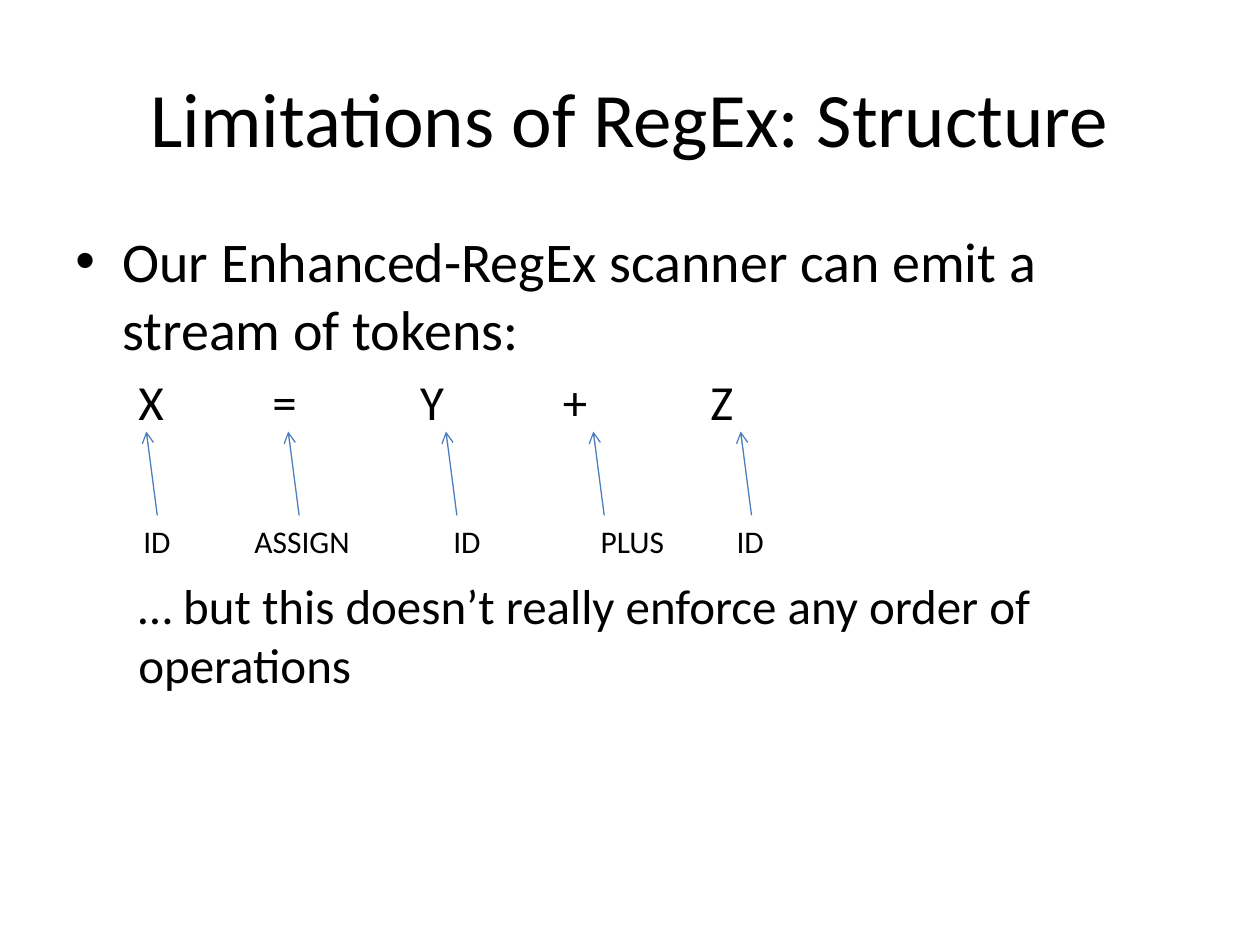
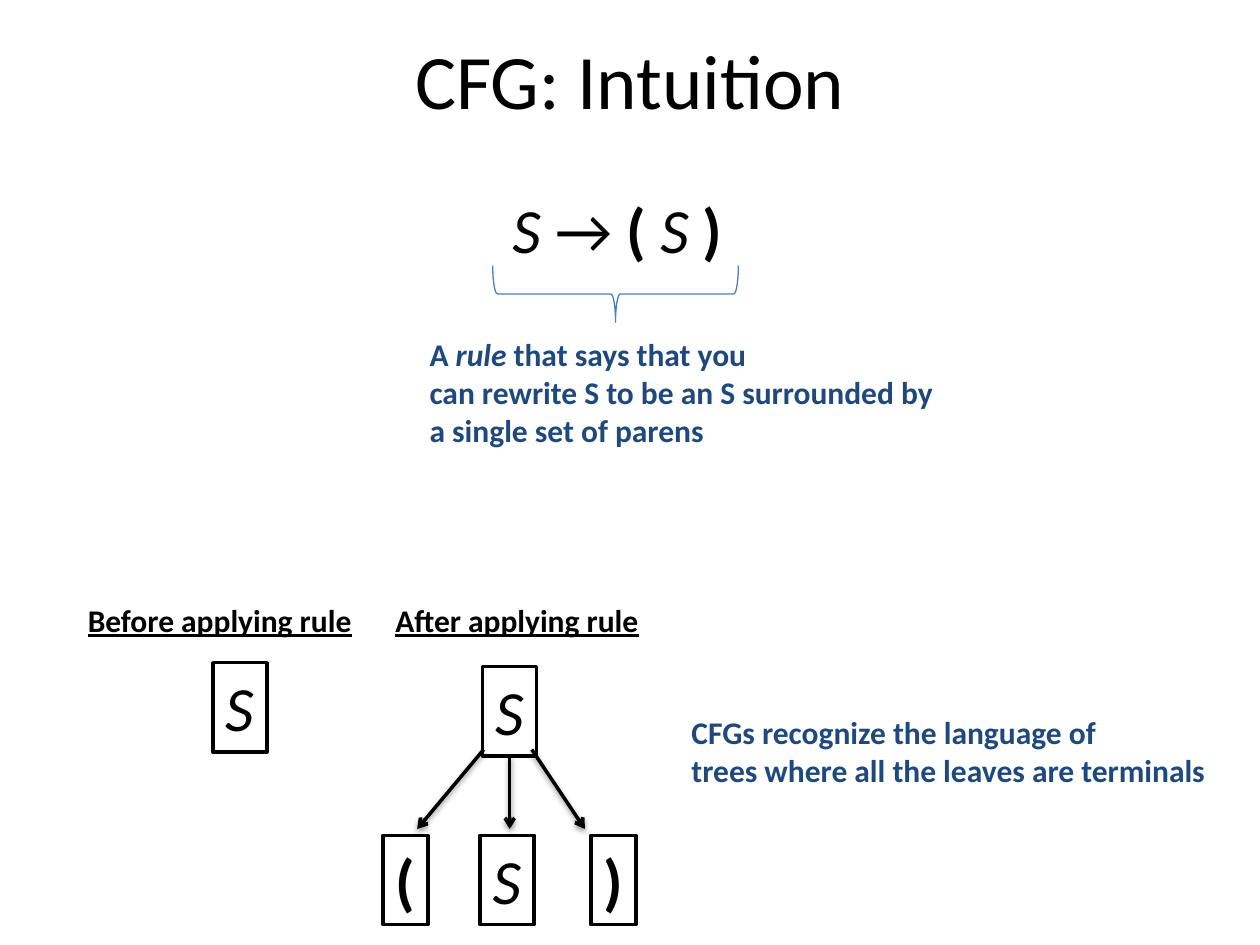
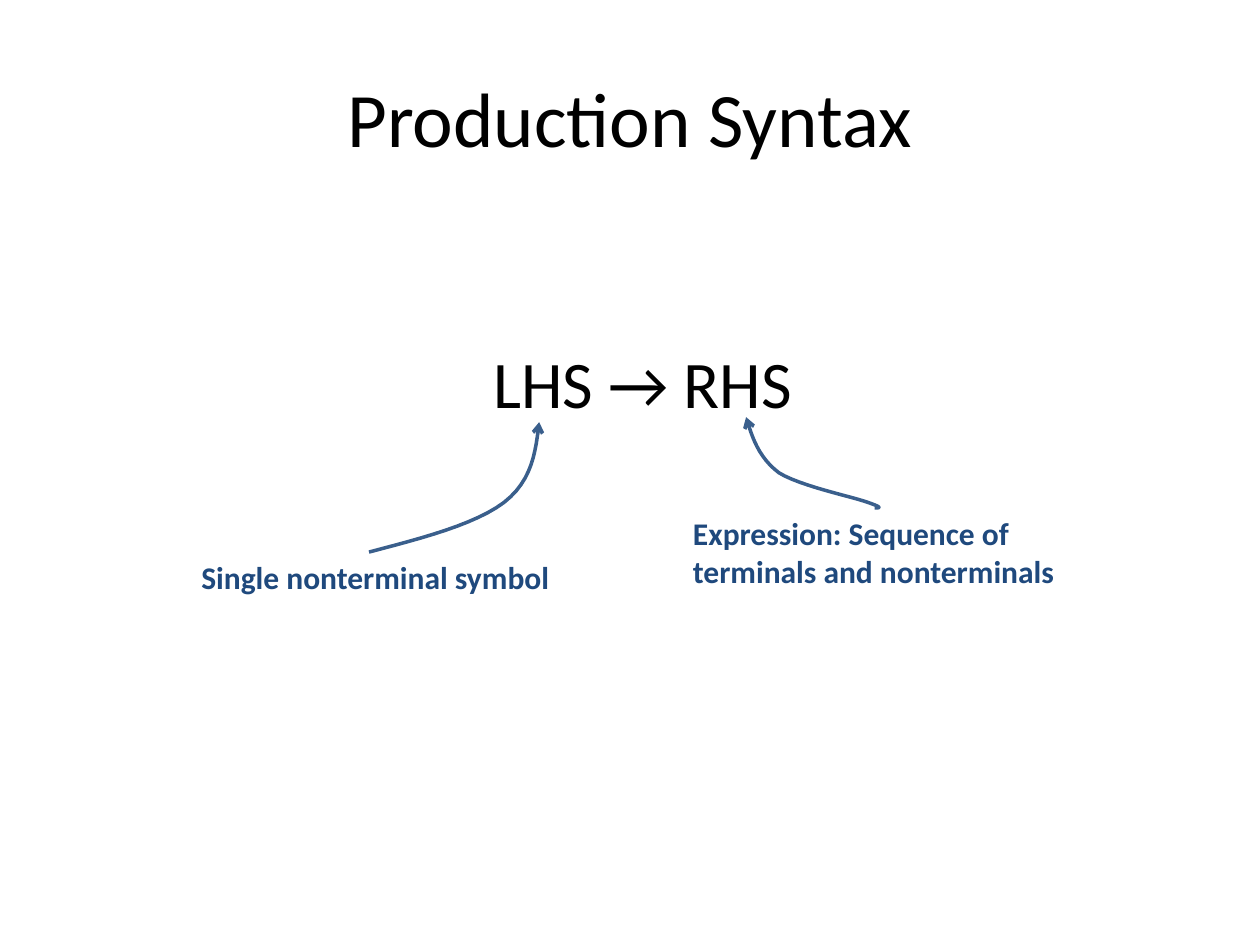
from dataclasses import dataclass

from lxml import etree
from pptx import Presentation
from pptx.dml.color import RGBColor
from pptx.enum.shapes import MSO_CONNECTOR, MSO_SHAPE
from pptx.enum.text import MSO_ANCHOR, MSO_AUTO_SIZE, PP_ALIGN
from pptx.oxml.ns import qn
from pptx.util import Cm, Pt

STRAIGHT = MSO_CONNECTOR.STRAIGHT
RECTANGLE, LEFT_BRACE = MSO_SHAPE.RECTANGLE, MSO_SHAPE.LEFT_BRACE
TOP, MIDDLE = MSO_ANCHOR.TOP, MSO_ANCHOR.MIDDLE
LEFT, CENTER = PP_ALIGN.LEFT, PP_ALIGN.CENTER
FIT_SHAPE, NO_FIT = MSO_AUTO_SIZE.SHAPE_TO_FIT_TEXT, MSO_AUTO_SIZE.NONE
BOTTOM_SIDE = 2


@dataclass(frozen=True)
class Theme:
    font: str = "Calibri"
    black: RGBColor = RGBColor(0x00, 0x00, 0x00)
    white: RGBColor = RGBColor(0xFF, 0xFF, 0xFF)
    navy: RGBColor = RGBColor(0x1F, 0x49, 0x7D)
    blue: RGBColor = RGBColor(0x4B, 0x7E, 0xBC)
    steel: RGBColor = RGBColor(0x3A, 0x5F, 0x8C)
    title: int = 44
    production: int = 38
    symbol: int = 36
    body: int = 32
    detail: int = 28
    label: int = 18
    thin: float = 0.75
    thick: float = 2


THEME = Theme()

STRUCTURE_TITLE = "Limitations of RegEx: Structure"
STRUCTURE_BULLET = "Our Enhanced-RegEx scanner can emit a stream of tokens:"
STRUCTURE_CLOSING = "… but this doesn’t really enforce any order of operations"
TOKENS = [
    # symbol, tab stop, token name, arrow start, name left, name width
    ("X", 1.27, "ID", 3.17, 2.64, 1.07),
    ("=", 3.97, "ASSIGN", 6.03, 4.88, 2.44),
    ("Y", 6.95, "ID", 9.21, 8.89, 1.07),
    ("+", 9.83, "PLUS", 12.18, 11.86, 1.8),
    ("Z", 12.8, "ID", 15.15, 14.6, 1.07),
]

INTUITION_TITLE = "CFG: Intuition"
RULE = [[("S", "i"), (" → ", ""), ("( ", "b"), ("S ", "i"), (")", "b")]]
RULE_MEANING = [
    [("A ", "b"), ("rule", "bi"), (" that says that you", "b")],
    "can rewrite S to be an S surrounded by",
    "a single set of parens",
]
LANGUAGE_NOTE = ["CFGs recognize the language of", "trees where all the leaves are terminals"]
TREE_HEADINGS = [("After applying rule", 7.72, 5.46), ("Before applying rule", 1.52, 5.87)]
LEAVES = [("(", "b", 7.72, 0.91), ("S", "i", 9.68, 1.09), (")", "b", 11.91, 0.91)]
SIDE_BRANCHES = [((9.75, 15.11), (8.41, 16.71)), ((10.72, 15.11), (11.79, 16.71))]

SYNTAX_TITLE = "Production Syntax"
PRODUCTION = "LHS → RHS"
SIDE_NOTES = [
    (["Expression: Sequence of", "terminals and nonterminals"], (13.72, 10.24, 7.85, 1.8)),
    (["Single nonterminal symbol"], (3.81, 11.13, 7.57, 1.02)),
]
POINTERS = [
    [(17.63, 10.24), (17.73, 10.24), (17.81, 10.24), (17.5, 10.13),
     (17.17, 10.01), (16.13, 9.8), (15.7, 9.53),
     (15.29, 9.22), (15.16, 8.81), (15.04, 8.41)],
    [(7.44, 11.13), (8.51, 10.85), (9.58, 10.57), (10.16, 10.13),
     (10.74, 9.68), (10.8, 9.09), (10.87, 8.51)],
]


def lengths(values):
    return [Cm(value) for value in values]


def fill_paragraph(paragraph, content, size, color, flags):
    runs = [(content, flags)] if isinstance(content, str) else content
    for text, run_flags in runs:
        run = paragraph.add_run()
        run.text = text
        font = run.font
        font.name, font.size = THEME.font, Pt(size)
        font.color.rgb = color
        font.bold, font.italic, font.underline = (flag in run_flags for flag in "biu")


def write_text(slide, text, box, *, size=THEME.label, color=THEME.black, flags="",
               align=LEFT, anchor=TOP, wrap=False, shape=None):
    shape = shape or slide.shapes.add_textbox(*lengths(box))
    frame = shape.text_frame
    frame.word_wrap = wrap
    frame.auto_size = NO_FIT if wrap else FIT_SHAPE
    frame.vertical_anchor = anchor
    contents = [text] if isinstance(text, str) else text
    for index, content in enumerate(contents):
        paragraph = frame.add_paragraph() if index else frame.paragraphs[0]
        paragraph.alignment = align
        fill_paragraph(paragraph, content, size, color, flags)
    return shape


def add_title(slide, text, top=0.76):
    write_text(slide, text, (1.27, top, 22.86, 3.18), size=THEME.title,
               align=CENTER, anchor=MIDDLE, wrap=True)


def style_line(shape, color, width):
    shape.line.color.rgb = color
    shape.line.width = Pt(width)


def add_arrowhead(shape):
    line = shape.element.spPr.find(qn("a:ln"))
    etree.SubElement(line, qn("a:tailEnd"), type="arrow")


def add_arrow(slide, start, end, color, width, shadow=False):
    arrow = slide.shapes.add_connector(STRAIGHT, *lengths((*start, *end)))
    style_line(arrow, color, width)
    add_arrowhead(arrow)
    effects = etree.SubElement(arrow.element.spPr, qn("a:effectLst"))
    if shadow:
        outer = etree.SubElement(effects, qn("a:outerShdw"), blurRad="40000", dist="20000",
                                 dir="5400000", rotWithShape="0")
        tint = etree.SubElement(outer, qn("a:srgbClr"), val=str(THEME.black))
        etree.SubElement(tint, qn("a:alpha"), val="38000")
    return arrow


def add_symbol_box(slide, text, flags, left, top, width):
    box = (left, top, width, 1.8)
    shape = slide.shapes.add_shape(RECTANGLE, *lengths(box))
    shape.shadow.inherit = False
    shape.fill.solid()
    shape.fill.fore_color.rgb = THEME.white
    style_line(shape, THEME.black, THEME.thick)
    return write_text(slide, text, box, size=THEME.symbol, flags=flags, shape=shape)


def curve_points(controls, steps=12):
    points = [controls[0]]
    for first in range(0, len(controls) - 1, 3):
        segment = controls[first:first + 4]
        for step in range(1, steps + 1):
            t = step / steps
            weights = ((1 - t) ** 3, 3 * t * (1 - t) ** 2, 3 * t ** 2 * (1 - t), t ** 3)
            points.append(tuple(sum(w * c for w, c in zip(weights, axis))
                                for axis in zip(*segment)))
    return [lengths(point) for point in points]


def add_pointer(slide, controls):
    start, *rest = curve_points(controls)
    builder = slide.shapes.build_freeform(*start)
    builder.add_line_segments(rest, close=False)
    pointer = builder.convert_to_shape()
    pointer.shadow.inherit = False
    pointer.fill.background()
    style_line(pointer, THEME.steel, THEME.thick)
    add_arrowhead(pointer)


def format_structure_body(body):
    bullet, symbols, closing = body.text_frame.paragraphs
    for paragraph, before in ((bullet, 6.4), (symbols, 5.6), (closing, 83)):
        paragraph.space_before = Pt(before)
    for run in symbols.runs + closing.runs:
        run.font.size = Pt(THEME.detail)
    for paragraph, margin, indent in ((bullet, 0.95, -0.95), (closing, 1.27, 0)):
        properties = paragraph._p.get_or_add_pPr()
        properties.set("marL", str(Cm(margin)))
        properties.set("indent", str(Cm(indent)))
    properties = bullet._p.get_or_add_pPr()
    etree.SubElement(properties, qn("a:buFont"), typeface="Arial")
    etree.SubElement(properties, qn("a:buChar"), char="•")
    stops = etree.SubElement(symbols._p.get_or_add_pPr(), qn("a:tabLst"))
    for _, stop, *_ in TOKENS:
        etree.SubElement(stops, qn("a:tab"), pos=str(Cm(stop)), algn="l")


def build_structure(slide):
    add_title(slide, STRUCTURE_TITLE)
    symbol_row = "".join("\t" + token[0] for token in TOKENS)
    body = write_text(slide, [STRUCTURE_BULLET, symbol_row, STRUCTURE_CLOSING],
                      (1.27, 4.45, 22.86, 12.57), size=THEME.body, wrap=True)
    format_structure_body(body)
    for _, _, name, arrow_x, left, width in TOKENS:
        add_arrow(slide, (arrow_x, 10.39), (arrow_x - 0.22, 8.7), THEME.blue, THEME.thin)
        write_text(slide, name, (left, 10.4, width, 1.02))


def build_intuition(slide):
    add_title(slide, INTUITION_TITLE, top=0)
    write_text(slide, RULE, (10.08, 3.71, 4.78, 1.8), size=THEME.symbol)
    write_text(slide, RULE_MEANING, (8.41, 6.63, 10.74, 2.57), color=THEME.navy, flags="b")
    brace = slide.shapes.add_shape(LEFT_BRACE, *lengths((11.84, 3.45, 1.14, 4.95)))
    brace.rotation = 270
    brace.shadow.inherit = False
    brace.fill.background()
    style_line(brace, THEME.blue, THEME.thin)

    add_symbol_box(slide, "S", "i", 4.29, 13.36, 1.09)
    root = add_symbol_box(slide, "S", "i", 9.73, 13.44, 1.09)
    for start, end in SIDE_BRANCHES:
        add_arrow(slide, start, end, THEME.black, THEME.thick, shadow=True)
    root_center = (root.left + root.width / 2) / Cm(1)
    trunk = add_arrow(slide, (root_center, 15.24), (root_center, 16.71),
                      THEME.black, THEME.thick, shadow=True)
    trunk.begin_connect(root, BOTTOM_SIDE)
    for text, flags, left, width in LEAVES:
        add_symbol_box(slide, text, flags, left, 16.84, width)

    write_text(slide, LANGUAGE_NOTE, (13.69, 14.25, 11, 1.8), color=THEME.navy, flags="b")
    for heading, left, width in TREE_HEADINGS:
        write_text(slide, heading, (left, 11.99, width, 1.02), flags="bu")


def build_syntax(slide):
    add_title(slide, SYNTAX_TITLE)
    write_text(slide, PRODUCTION, (9.7, 6.76, 6.58, 1.88), size=THEME.production)
    for (note, box), controls in zip(SIDE_NOTES, POINTERS):
        write_text(slide, note, box, color=THEME.navy, flags="b")
        add_pointer(slide, controls)


def main():
    presentation = Presentation()
    presentation.slide_width, presentation.slide_height = Cm(25.4), Cm(19.05)
    blank = presentation.slide_layouts[6]
    for build in (build_structure, build_intuition, build_syntax):
        build(presentation.slides.add_slide(blank))
    presentation.save("out.pptx")


if __name__ == "__main__":
    main()
